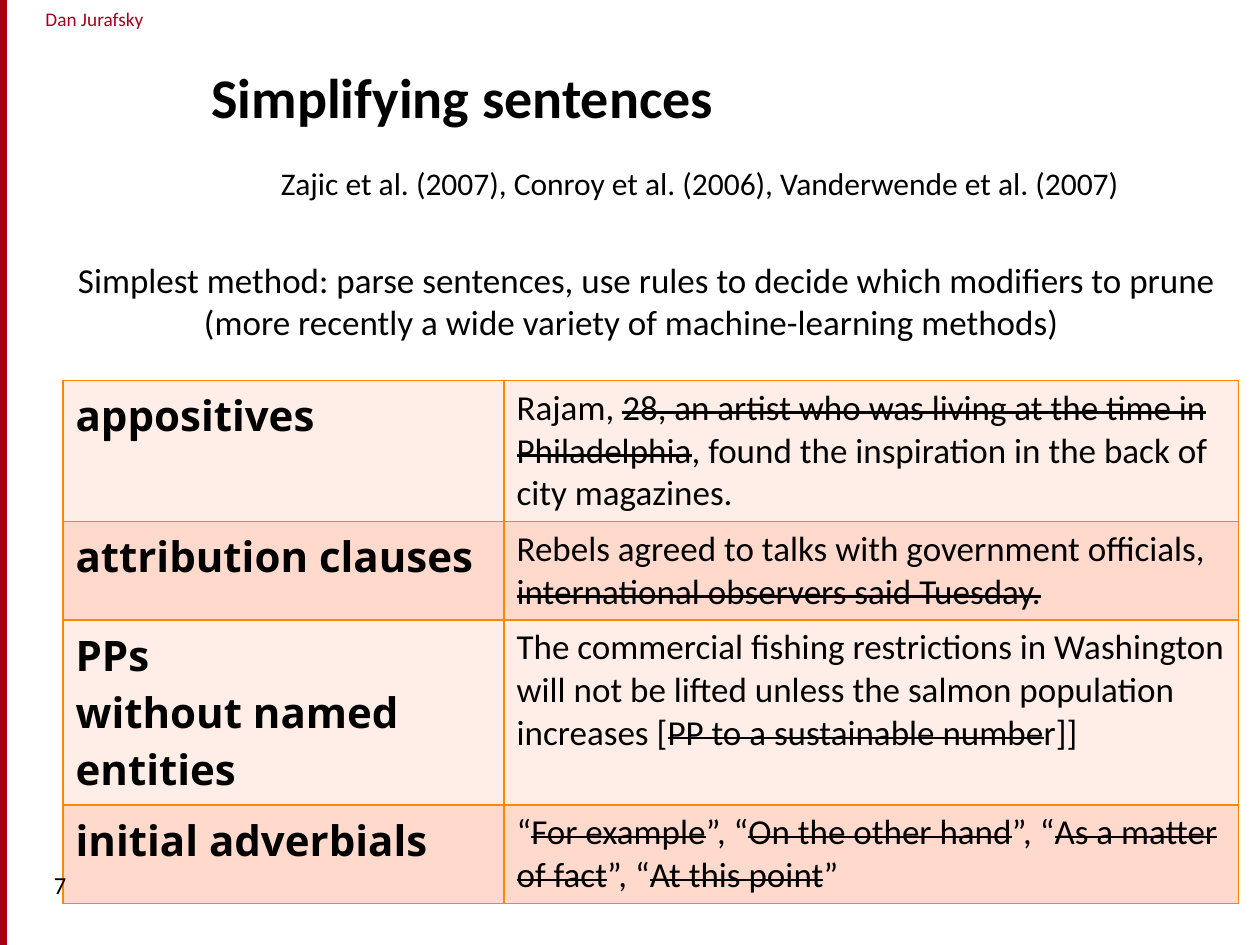
from lxml.etree import SubElement
from pptx import Presentation
from pptx.dml.color import RGBColor
from pptx.enum.shapes import MSO_SHAPE as Shape
from pptx.enum.text import MSO_ANCHOR as Anchor, PP_ALIGN as Align
from pptx.oxml.ns import qn
from pptx.util import Inches, Pt

TABLE_ROWS = [
    (1.12, ["appositives"],
     "Rajam, ~28, an artist who was living at the time in Philadelphia~"
     ", found the inspiration in the back of city magazines."),
    (0.78, ["attribution clauses"],
     "Rebels agreed to talks with government officials, "
     "~international observers said Tuesday."),
    (1.47, ["PPs", "without named entities"],
     "The commercial fishing restrictions in Washington will not be lifted unless "
     "the salmon population increases [~PP to a sustainable numbe~r]]"),
    (0.78, ["initial adverbials"],
     "“~For example~”, “~On the other hand~”, “~As a matter of fact~”, “~At this point~”"),
]


def color(value):
    return RGBColor.from_string(value)


class SlideBuilder:
    body_font = "Calibri"
    label_font = "Noto Sans"
    ink = "000000"
    accent = "A4001D"
    border = "FF8700"
    bands = ("FFEDE7", "FFD9CC")

    def __init__(self, slide):
        self.slide = slide

    def run(self, paragraph, text, size, font=None, ink=None, bold=False, strike=False):
        run = paragraph.add_run()
        run.text = text
        run.font.name = font or self.body_font
        run.font.size = Pt(size)
        run.font.bold = bold
        run.font.color.rgb = color(ink or self.ink)
        if strike:
            run.font._element.set("strike", "sngStrike")

    def lines(self, frame, texts, size, **style):
        for index, text in enumerate(texts):
            paragraph = frame.add_paragraph() if index else frame.paragraphs[0]
            self.run(paragraph, text, size, **style)

    def text(self, box, texts, size, wrap=True, **style):
        shape = self.slide.shapes.add_textbox(*map(Inches, box))
        frame = shape.text_frame
        frame.word_wrap = wrap
        self.lines(frame, texts, size, **style)
        return frame

    def bar(self, box, fill):
        shape = self.slide.shapes.add_shape(Shape.RECTANGLE, *map(Inches, box))
        shape.shadow.inherit = False
        shape.fill.solid()
        shape.fill.fore_color.rgb = color(fill)
        shape.line.color.rgb = color(self.accent)
        shape.line.width = Pt(0.75)

    def cell(self, cell, fill):
        properties = cell._tc.get_or_add_tcPr()
        for side in ("lnL", "lnR", "lnT", "lnB"):
            line = SubElement(properties, qn(f"a:{side}"), w=str(Pt(1)))
            solid = SubElement(line, qn("a:solidFill"))
            SubElement(solid, qn("a:srgbClr"), val=self.border)
        cell.fill.solid()
        cell.fill.fore_color.rgb = color(fill)

    def table(self, left, top, rows, widths):
        box = (left, top, sum(widths), sum(height for height, *_ in rows))
        graphic = self.slide.shapes.add_table(len(rows), len(widths), *map(Inches, box))
        table = graphic.table
        table.first_row = table.horz_banding = False
        for column, width in zip(table.columns, widths):
            column.width = Inches(width)
        for index, (height, labels, example) in enumerate(rows):
            table.rows[index].height = Inches(height)
            label_cell, example_cell = table.rows[index].cells
            for cell in (label_cell, example_cell):
                self.cell(cell, self.bands[index % 2])
            self.lines(label_cell.text_frame, labels, 24, font=self.label_font, bold=True)
            paragraph = example_cell.text_frame.paragraphs[0]
            for part, text in enumerate(example.split("~")):
                self.run(paragraph, text, 20, strike=part % 2 == 1)


def main():
    presentation = Presentation()
    presentation.slide_width = Inches(10)
    presentation.slide_height = Inches(7.5)
    builder = SlideBuilder(presentation.slides.add_slide(presentation.slide_layouts[6]))

    author = builder.text((0.04, 0.01, 1.42, 0.29), ["Dan Jurafsky"], 11, ink=builder.accent)
    author.margin_left = author.margin_right = 0
    author.paragraphs[0].alignment = Align.CENTER
    builder.bar((0, 0, 0.05, 7.5), "A40508")
    title = builder.text((1.58, 0, 8.08, 1.08), ["Simplifying sentences"], 32, bold=True)
    title.vertical_anchor = Anchor.BOTTOM

    builder.table(0.5, 3.02, TABLE_ROWS, (3.5, 5.83))
    builder.text((0.33, 6.86, 0.5, 0.5), ["7"], 14)
    builder.text((2.13, 1.25, 6.95, 0.4),
                 ["Zajic et al. (2007), Conroy et al. (2006), Vanderwende et al. (2007)"],
                 18, wrap=False)
    method = builder.text(
        (0.52, 2, 9.32, 0.77),
        ["Simplest method: parse sentences, use rules to decide which modifiers to prune",
         "(more recently a wide variety of machine-learning methods)"],
        20, wrap=False)
    method.paragraphs[1]._p.get_or_add_pPr().set("marL", str(Inches(1)))

    presentation.save("out.pptx")


if __name__ == "__main__":
    main()
